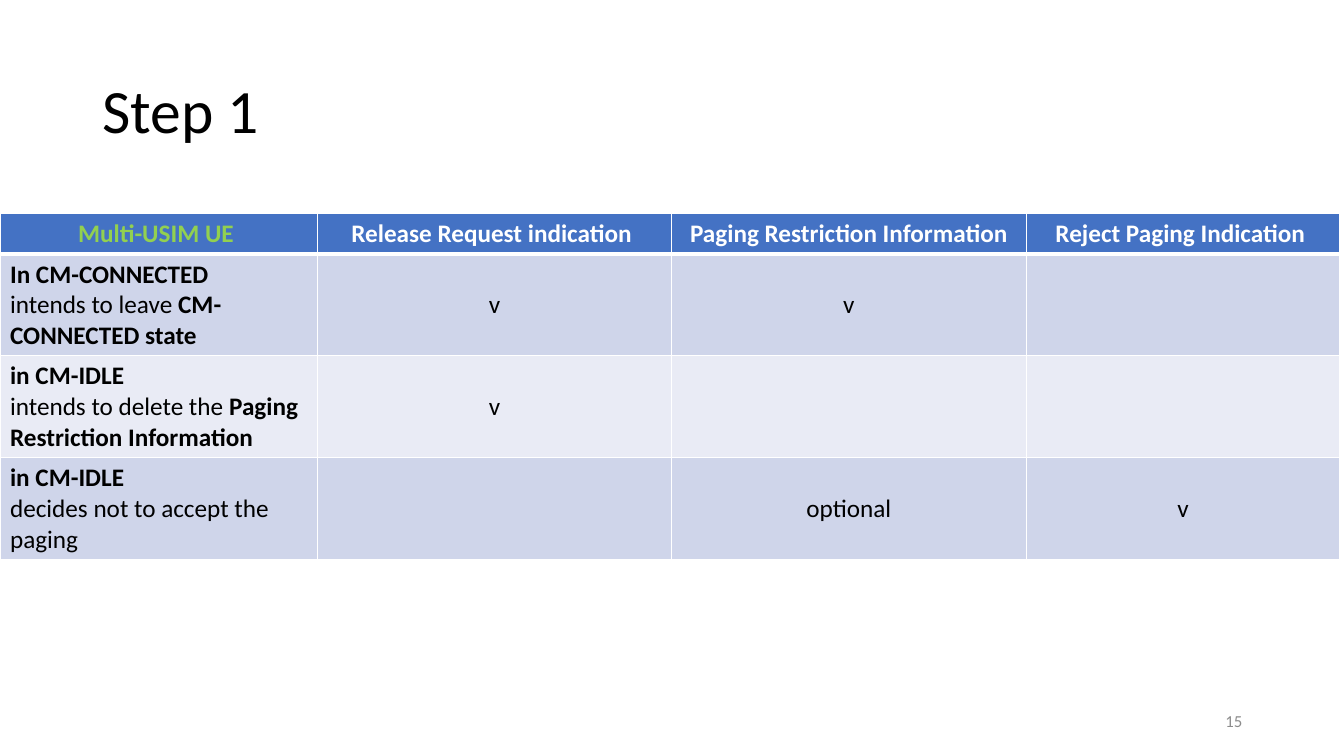
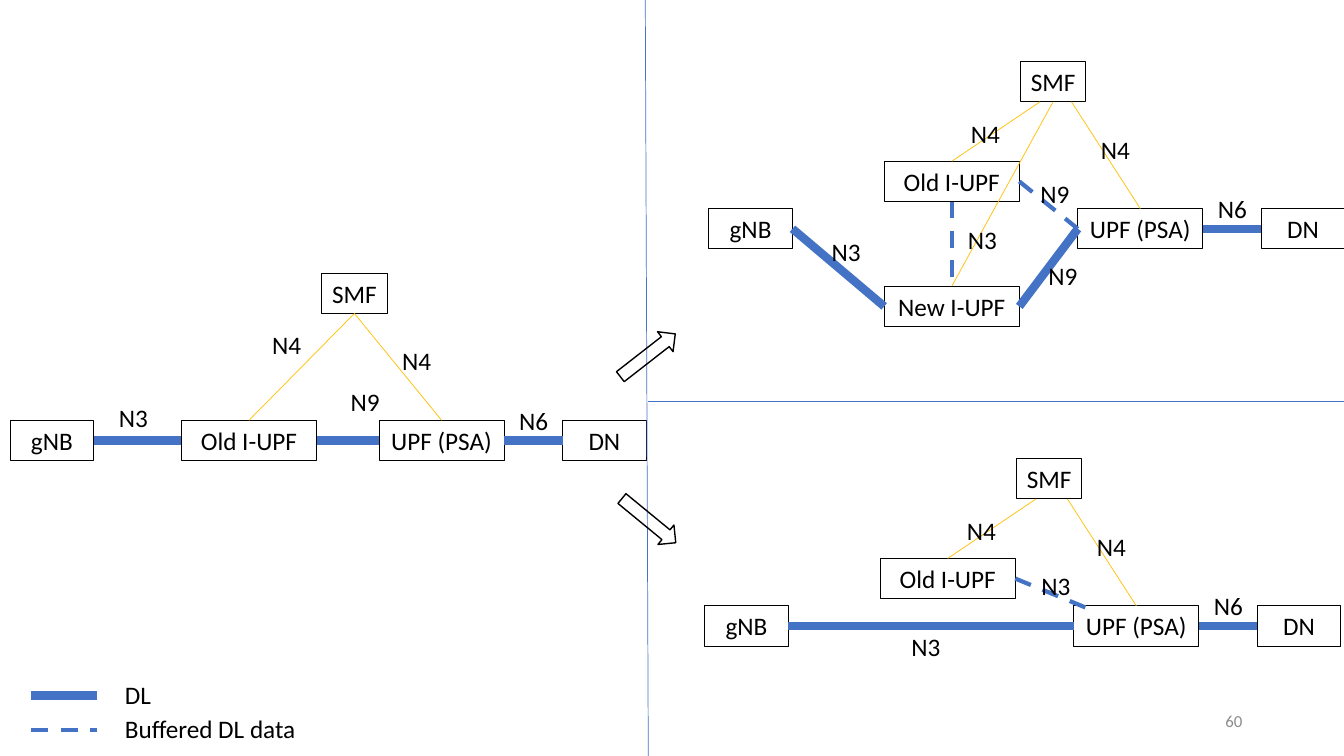
from lxml.etree import SubElement
from pptx import Presentation
from pptx.dml.color import RGBColor
from pptx.enum.dml import MSO_LINE
from pptx.enum.shapes import MSO_CONNECTOR as CONNECTOR, MSO_SHAPE as SHAPE
from pptx.enum.text import MSO_ANCHOR as ANCHOR, PP_ALIGN as ALIGN
from pptx.oxml.ns import qn
from pptx.util import Pt

# Shared look: 100 px to the inch
PX = 9144
FONT = "Calibri"
BLACK, WHITE, GRAY = "000000", "FFFFFF", "8C8C8C"
BLUE, GOLD, GREEN = "4472C4", "FFC000", "92D050"
BANDS = ("CFD5EA", "E9EBF5")
NODE_HEIGHT = 40
NODE_WIDTHS = {"gNB": 83, "Old I-UPF": 134, "New I-UPF": 134,
               "UPF (PSA)": 124, "DN": 83, "SMF": 65}

# Places on a node, as shares of its width and height
TOP, BOTTOM, LEFT, RIGHT = (0.5, 0), (0.5, 1), (0, 0.5), (1, 0.5)


def color(value):
    return RGBColor.from_string(value)


def emu(*lengths):
    return [round(length * PX) for length in lengths]


def write(frame, text, size=18, ink=BLACK, align=ALIGN.LEFT, spacing=None):
    """Write one paragraph; text between asterisks is bold."""
    para = frame.paragraphs[0]
    para.alignment = align
    if spacing:
        para.line_spacing = spacing
    for index, part in enumerate(text.split("*")):
        for row, line in enumerate(part.split("\n")):
            if row:
                para.add_line_break()
            if line:
                span = para.add_run()
                span.text = line
                span.font.name = FONT
                span.font.size = Pt(size)
                span.font.bold = index % 2 == 1
                span.font.color.rgb = color(ink)


def text_box(page, text, left, top, width, height=40, wrap=False,
             anchor=ANCHOR.TOP, **style):
    frame = page.shapes.add_textbox(*emu(left, top, width, height)).text_frame
    frame.word_wrap = wrap
    frame.vertical_anchor = anchor
    write(frame, text, **style)


def label(page, text, left, top):
    text_box(page, text, left, top, 49)


def page_number(page, number):
    text_box(page, number, 942, 695, 300, wrap=True, anchor=ANCHOR.MIDDLE,
             size=12, ink=GRAY, align=ALIGN.RIGHT)


def outline(page, kind, left, top, width, height, weight):
    shape = page.shapes.add_shape(kind, *emu(left, top, width, height))
    shape.shadow.inherit = False
    shape.fill.background()
    shape.line.color.rgb = color(BLACK)
    shape.line.width = Pt(weight)
    return shape


def node(page, name, left, top):
    shape = outline(page, SHAPE.RECTANGLE, left, top, NODE_WIDTHS[name],
                    NODE_HEIGHT, 0.75)
    shape.text_frame.word_wrap = False
    write(shape.text_frame, name, align=ALIGN.CENTER)
    return shape


def place(shape, spot):
    """Give the px position of a spot on a node."""
    return ((shape.left + spot[0] * shape.width) / PX,
            (shape.top + spot[1] * shape.height) / PX)


def line(page, start, end, weight=0.5, ink=BLUE, dashed=False):
    link = page.shapes.add_connector(CONNECTOR.STRAIGHT, *emu(*start, *end))
    link.line.color.rgb = color(ink)
    link.line.width = Pt(weight)
    if dashed:
        link.line.dash_style = MSO_LINE.DASH
    SubElement(link._element.spPr, qn("a:effectLst"))


def downlink(page, source, start, target, end):
    line(page, place(source, start), place(target, end), weight=6)


def buffered(page, source, start, target, end):
    line(page, place(source, start), place(target, end), weight=3, dashed=True)


def control(page, smf, share, target):
    line(page, place(smf, (share, 1)), place(target, TOP), ink=GOLD)


def network(page, left, top, old_offset, smf_shares):
    """Draw the parts all networks share, placed from the UPF's corner."""
    offsets = {"UPF (PSA)": (0, 0), "Old I-UPF": old_offset,
               "gNB": (-366, 0), "DN": (182, 0), "SMF": (-57, -146)}
    nodes = {name: node(page, name, left + dx, top + dy)
             for name, (dx, dy) in offsets.items()}
    downlink(page, nodes["UPF (PSA)"], RIGHT, nodes["DN"], LEFT)
    for share, name in zip(smf_shares, ("Old I-UPF", "UPF (PSA)")):
        control(page, nodes["SMF"], share, nodes[name])
    for text, dx, dy in (("N6", 129, -20), ("N4", 13, -79), ("N4", -116, -95)):
        label(page, text, left + dx, top + dy)
    return nodes


def border(cell, side, weight):
    edge = SubElement(cell._tc.get_or_add_tcPr(), qn(f"a:{side}"),
                      w=str(Pt(weight)))
    SubElement(SubElement(edge, qn("a:solidFill")), qn("a:srgbClr"), val=WHITE)


def table(page, rows, left, top, widths, heights):
    grid = page.shapes.add_table(
        len(rows), len(widths),
        *emu(left, top, sum(widths), sum(heights))).table
    for column, width in zip(grid.columns, emu(*widths)):
        column.width = width
    for row, height in zip(grid.rows, emu(*heights)):
        row.height = height
    for r, texts in enumerate(rows):
        for c, text in enumerate(texts):
            cell = grid.cell(r, c)
            header = r == 0
            for side, weight in (("lnL", 1), ("lnR", 1),
                                 ("lnT", 3 if r == 1 else 1),
                                 ("lnB", 3 if header else 1)):
                border(cell, side, weight)
            cell.fill.solid()
            cell.fill.fore_color.rgb = color(
                BLUE if header else BANDS[(r - 1) % 2])
            cell.vertical_anchor = ANCHOR.TOP if header else ANCHOR.MIDDLE
            ink = (WHITE if c else GREEN) if header else BLACK
            write(cell.text_frame, text, ink=ink,
                  align=ALIGN.CENTER if header or c else ALIGN.LEFT)


def step_page(page):
    text_box(page, "Step 1", 92, 40, 1150, 145, wrap=True,
             anchor=ANCHOR.MIDDLE, size=44, spacing=0.9)
    rows = [
        ("*Multi-USIM UE *", "*Release Request indication *",
         "*Paging Restriction Information*", "*Reject Paging Indication *"),
        ("*In CM-CONNECTED*\nintends to leave* CM-CONNECTED state*",
         "v", "v", ""),
        ("*in CM-IDLE *\nintends to delete the "
         "*Paging Restriction Information*", "v", "", ""),
        ("*in CM-IDLE *\ndecides not to accept the paging",
         "", "optional", "v"),
    ]
    table(page, rows, 0, 212, (315, 351, 352, 311), (40, 101, 101, 101))
    page_number(page, "15")


def path_page(page):
    # Current path
    nodes = network(page, 376, 417, (-196, 0), (0.5, 0.5))
    downlink(page, nodes["gNB"], RIGHT, nodes["Old I-UPF"], LEFT)
    downlink(page, nodes["Old I-UPF"], RIGHT, nodes["UPF (PSA)"], LEFT)
    label(page, "N9", 338, 378)
    label(page, "N3", 108, 394)

    # Path through a new I-UPF
    nodes = network(page, 1069, 207, (-192, -47), (0.3, 0.78))
    new = node(page, "New I-UPF", 877, 284)
    downlink(page, nodes["gNB"], RIGHT, new, LEFT)
    downlink(page, new, RIGHT, nodes["UPF (PSA)"], LEFT)
    control(page, nodes["SMF"], 0.5, new)
    buffered(page, nodes["Old I-UPF"], RIGHT, nodes["UPF (PSA)"], LEFT)
    buffered(page, nodes["Old I-UPF"], BOTTOM, new, TOP)
    for text, left, top in (("N9", 1030, 253), ("N3", 950, 218),
                            ("N3", 815, 230), ("N9", 1022, 172)):
        label(page, text, left, top)

    # Path without an I-UPF
    nodes = network(page, 1065, 601, (-192, -47), (0.3, 0.78))
    downlink(page, nodes["gNB"], RIGHT, nodes["UPF (PSA)"], LEFT)
    buffered(page, nodes["Old I-UPF"], RIGHT, nodes["UPF (PSA)"], (0.1, 0.05))
    label(page, "N3", 894, 621)
    label(page, "N3", 1023, 561)

    # Dividers and arrows to the two outcomes
    line(page, (640, 0), (643, 750))
    line(page, (643, 398), (1333, 398))
    for left, top, angle in ((608, 340, 322.1), (609, 504, 39.4)):
        arrow = outline(page, SHAPE.RIGHT_ARROW, left, top, 69, 25, 1)
        arrow.rotation = angle

    # Legend
    line(page, (31, 690), (96, 690), weight=6)
    line(page, (31, 724), (96, 724), weight=3, dashed=True)
    text_box(page, "DL", 114, 669, 46)
    text_box(page, "Buffered DL data", 114, 703, 192)
    page_number(page, "60")


def main():
    deck = Presentation()
    deck.slide_width, deck.slide_height = emu(1333, 750)
    blank = deck.slide_layouts[6]
    for build in (step_page, path_page):
        build(deck.slides.add_slide(blank))
    deck.save("out.pptx")


if __name__ == "__main__":
    main()
